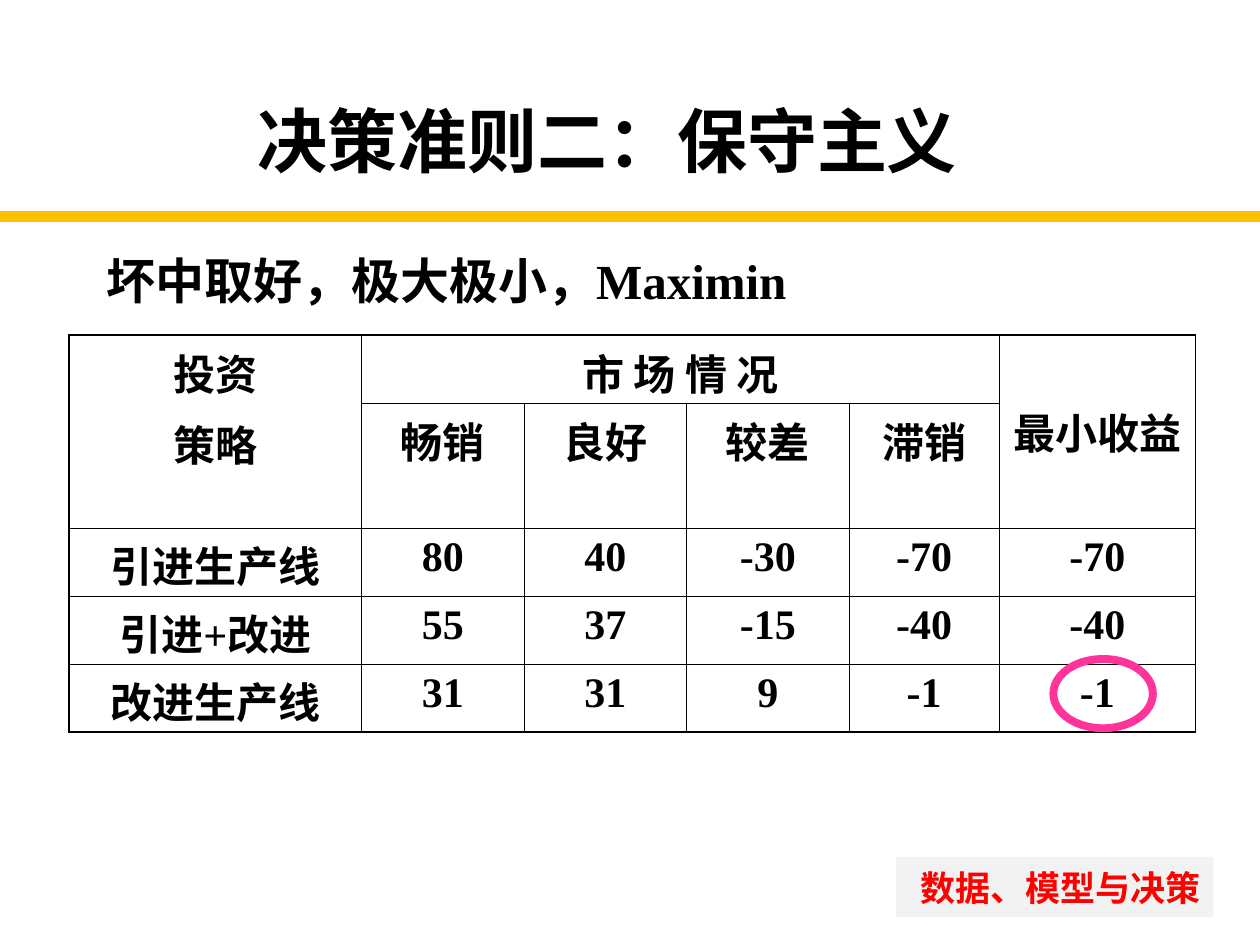
from lxml import etree
from pptx import Presentation, util as u
from pptx.dml import color
from pptx.enum import shapes, text
from pptx.oxml import ns

COLORS = {"ink": "000000", "red": "FF0000", "pink": "FF3399",
          "gold": "FFC000", "panel": "F2F2F2"}
CJK = "Noto Sans CJK SC"


def rgb(name):
    return color.RGBColor.from_string(COLORS[name])


def write(frame, content, size=24, font="Times New Roman", ink="ink",
          align=text.PP_ALIGN.CENTER, anchor=text.MSO_ANCHOR.TOP, gap=6):
    """Fill a text frame, one paragraph per line of content."""
    frame.word_wrap = True
    frame.vertical_anchor = anchor
    for i, line in enumerate(content.split("\n")):
        p = frame.paragraphs[0] if i == 0 else frame.add_paragraph()
        p.alignment = align
        if i:
            p.space_before = u.Pt(gap)
        run = p.add_run()
        run.text = line
        run.font.name, run.font.size, run.font.bold = font, u.Pt(size), True
        run.font.color.rgb = rgb(ink)
        etree.SubElement(run.font._element, ns.qn("a:ea"), typeface=CJK)


prs = Presentation()
prs.slide_width, prs.slide_height = u.Inches(10), u.Inches(7.5)
slide = prs.slides.add_slide(prs.slide_layouts[6])

# Course name
course = slide.shapes.add_shape(shapes.MSO_SHAPE.RECTANGLE, u.Inches(7.11),
                                u.Inches(6.8), u.Inches(2.52), u.Inches(0.48))
course.shadow.inherit = False
course.fill.solid()
course.fill.fore_color.rgb = rgb("panel")
course.line.fill.background()
write(course.text_frame, "数据、模型与决策", size=20, font=CJK, ink="red",
      align=text.PP_ALIGN.RIGHT, anchor=text.MSO_ANCHOR.MIDDLE)

# Title and decision rule
title = slide.shapes.add_textbox(u.Inches(0.72), u.Inches(0.7),
                                 u.Inches(8.2), u.Inches(0.81))
write(title.text_frame, "决策准则二：保守主义", size=40, font="Calibri",
      anchor=text.MSO_ANCHOR.MIDDLE)
rule = slide.shapes.add_textbox(u.Inches(0.75), u.Inches(1.94),
                                u.Inches(8.43), u.Inches(0.57))
write(rule.text_frame, "坏中取好，极大极小，Maximin", size=28,
      align=text.PP_ALIGN.LEFT)

# Payoff table
col_widths = [2.32, 1.29, 1.29, 1.29, 1.19, 1.56]
row_heights = [0.54, 0.99, 0.54, 0.54, 0.54]
rows = [
    ["投资\n策略", "市 场 情 况", "", "", "", "最小收益"],
    ["", "畅销", "良好", "较差", "滞销", ""],
    ["引进生产线", "80", "40", "-30", "-70", "-70"],
    ["引进+改进", "55", "37", "-15", "-40", "-40"],
    ["改进生产线", "31", "31", "9", "-1", "-1"],
]
payoffs = slide.shapes.add_table(
    len(rows), len(col_widths), u.Inches(0.55), u.Inches(2.66),
    u.Inches(sum(col_widths)), u.Inches(sum(row_heights))).table
payoffs.first_row = payoffs.horz_banding = False
for column, width in zip(payoffs.columns, col_widths):
    column.width = u.Inches(width)
for row, height in zip(payoffs.rows, row_heights):
    row.height = u.Inches(height)
for first, last in [((0, 0), (1, 0)), ((0, 1), (0, 4)), ((0, 5), (1, 5))]:
    payoffs.cell(*first).merge(payoffs.cell(*last))

for r, row in enumerate(rows):
    for c, value in enumerate(row):
        cell = payoffs.cell(r, c)
        cell.fill.background()
        if value:
            write(cell.text_frame, value)
        # Thick outer frame, thin inner grid
        outer = {"lnL": c == 0, "lnR": c == len(row) - 1,
                 "lnT": r == 0, "lnB": r == len(rows) - 1}
        props = cell._tc.get_or_add_tcPr()
        for i, (side, thick) in enumerate(outer.items()):
            border = etree.Element(ns.qn("a:" + side),
                                   w=str(u.Pt(1.08 if thick else 0.45)))
            fill = etree.SubElement(border, ns.qn("a:solidFill"))
            etree.SubElement(fill, ns.qn("a:srgbClr"), val=COLORS["ink"])
            props.insert(i, border)
for c in (0, 5):
    payoffs.cell(0, c).margin_top = u.Inches(0.05)
payoffs.cell(0, 5).vertical_anchor = text.MSO_ANCHOR.MIDDLE

# Ring around the best minimum payoff
ring = slide.shapes.add_shape(shapes.MSO_SHAPE.OVAL, u.Inches(8.36),
                              u.Inches(5.23), u.Inches(0.79), u.Inches(0.55))
ring.shadow.inherit = False
ring.fill.background()
ring.line.color.rgb = rgb("pink")
ring.line.width = u.Pt(4.5)

# Divider under the title
divider = slide.shapes.add_connector(shapes.MSO_CONNECTOR.STRAIGHT, 0,
                                     u.Inches(1.72), u.Inches(10), u.Inches(1.72))
divider.line.color.rgb = rgb("gold")
divider.line.width = u.Pt(6)
etree.SubElement(divider._element.spPr, ns.qn("a:effectLst"))

prs.save("out.pptx")
